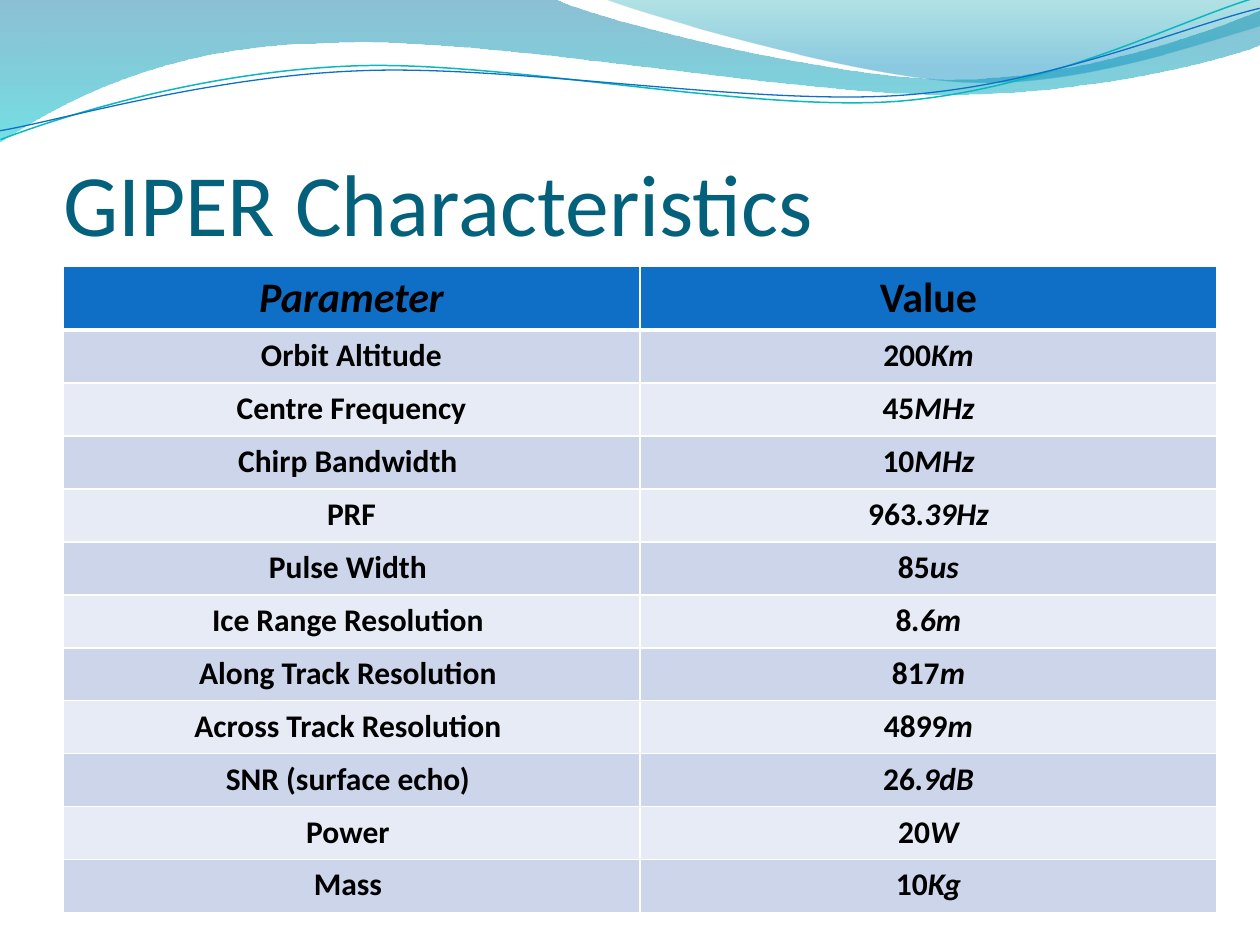
from lxml.etree import SubElement
from pptx import Presentation
from pptx.dml.color import RGBColor
from pptx.enum.text import MSO_ANCHOR, PP_ALIGN
from pptx.oxml.ns import qn
from pptx.util import Pt

EMU_PER_PX = 914400 / 126
FONT = "Calibri"
BLACK = RGBColor(0x00, 0x00, 0x00)
WHITE = RGBColor(0xFF, 0xFF, 0xFF)
TITLE_TEAL = RGBColor(0x04, 0x61, 0x7B)
HEADER_BLUE = RGBColor(0x0F, 0x6F, 0xC6)
LINE_TEAL = RGBColor(0x0A, 0xB8, 0xBF)
DEEP_BLUE = RGBColor(0x00, 0x74, 0xA1)
AQUA = RGBColor(0x00, 0xC6, 0xCF)
SEA_GREEN = RGBColor(0x00, 0xA1, 0xA9)
SKY_BLUE = RGBColor(0x00, 0x8B, 0xBF)
BANDS = [RGBColor(0xE7, 0xEB, 0xF5), RGBColor(0xCC, 0xD5, 0xEA)]

TITLE = "GIPER Characteristics"
TITLE_BOX = (63, 97, 1134, 157)
TABLE_LEFT, TABLE_TOP = 63, 266
COLUMN_WIDTH, HEADER_HEIGHT, ROW_HEIGHT = 577, 63, 53
STRAND_ROTATION = 357.3

HEADER = [("Parameter", True), ("Value", False)]
ROWS = [
    ("Orbit Altitude", "200", "Km"),
    ("Centre Frequency", "45", "MHz"),
    ("Chirp Bandwidth ", "10", "MHz"),
    ("PRF", "963", ".39Hz"),
    ("Pulse Width ", "85", "us"),
    ("Ice Range Resolution ", "8", ".6m"),
    ("Along Track Resolution ", "817", "m"),
    ("Across Track Resolution ", "4899", "m"),
    ("SNR (surface echo) ", "26", ".9dB"),
    ("Power ", "20", "W"),
    ("Mass ", "10", "Kg"),
]

WAVES = [
    ([[(0, 0)], [(554, -1)],
      [(600, 21), (837, 79), (955, 79)], [(1075, 79), (1207, 33), (1260, 11)],
      [(1261, 45)], [(1238, 55), (1096, 96), (940, 94)],
      [(784, 94), (481, 35), (324, 43)], [(161, 45), (58, 105), (-1, 142)]],
     [(0, DEEP_BLUE, 45), (1, AQUA, 55)]),
    ([[(604, -1)], [(641, 14), (859, 78), (969, 82)],
      [(1079, 87), (1211, 40), (1260, 26)], [(1260, 0)]],
     [(0, SEA_GREEN, 30), (0.8, SKY_BLUE, 45)]),
]
STRANDS = [
    ([[(-2, 110)], [(59, 90), (199, 52), (350, 53)],
      [(499, 53), (745, 118), (896, 114)], [(1049, 109), (1184, 45), (1260, 27)]],
     LINE_TEAL, 0.85),
    ([[(-2, 101)], [(57, 94), (207, 57), (357, 58)],
      [(509, 58), (750, 112), (902, 108)], [(1052, 104), (1187, 52), (1262, 38)]],
     HEADER_BLUE, 0.75),
]


def px(value):
    return round(value * EMU_PER_PX)


def add_outline(shapes, segments, close):
    segments = [[(px(x), px(y)) for x, y in segment] for segment in segments]
    ends = [segment[-1] for segment in segments]
    builder = shapes.build_freeform(*ends[0], scale=1.0)
    builder.add_line_segments(ends[1:], close=close)
    shape = builder.convert_to_shape()
    shape.shadow.inherit = False
    straight_lines = list(shape._element.iter(qn("a:lnTo")))
    for line, segment in zip(straight_lines, segments[1:]):
        if len(segment) == 3:
            line.tag = qn("a:cubicBezTo")
            for point in list(line):
                line.remove(point)
            for x, y in segment:
                SubElement(line, qn("a:pt"),
                           x=str(x - shape.left), y=str(y - shape.top))
    return shape


def add_wave(slide, segments, stops):
    wave = add_outline(slide.shapes, segments, True)
    wave.line.fill.background()
    wave.fill.gradient()
    wave.fill.gradient_angle = 270
    for stop, (position, color, _) in zip(wave.fill.gradient_stops, stops):
        stop.position = position
        stop.color.rgb = color
    colors = list(wave._element.spPr.iter(qn("a:srgbClr")))
    for element, (_, _, opacity) in zip(colors, stops):
        SubElement(element, qn("a:alpha"), val=str(opacity * 1000))


def add_strand(group, segments, color, width):
    strand = add_outline(group.shapes, segments, False)
    strand.rotation = STRAND_ROTATION
    strand.fill.background()
    strand.line.color.rgb = color
    strand.line.width = Pt(width)


def format_run(run, size, color, bold=False, italic=False):
    font = run.font
    font.name, font.size, font.bold, font.italic = FONT, Pt(size), bold, italic
    font.color.rgb = color


def add_title(slide):
    title = slide.shapes.title
    slide.shapes._spTree.append(title._element)
    title.left, title.top, title.width, title.height = map(px, TITLE_BOX)
    frame = title.text_frame
    frame.text = TITLE
    frame.vertical_anchor = MSO_ANCHOR.BOTTOM
    frame.margin_left = frame.margin_right = frame.margin_bottom = 0
    para = frame.paragraphs[0]
    para.alignment = PP_ALIGN.LEFT
    format_run(para.runs[0], 50, TITLE_TEAL)


def add_borders(cell):
    properties = cell._tc.get_or_add_tcPr()
    for side, width in zip("LRTB", (1, 1, 1, 3)):
        line = SubElement(properties, qn(f"a:ln{side}"), w=str(Pt(width)))
        solid = SubElement(line, qn("a:solidFill"))
        SubElement(solid, qn("a:srgbClr"), val=str(WHITE))


def format_cell(cell, spans, size, fill):
    cell.fill.solid()
    cell.fill.fore_color.rgb = fill
    para = cell.text_frame.paragraphs[0]
    para.alignment = PP_ALIGN.CENTER
    for text, italic in spans:
        run = para.add_run()
        run.text = text
        format_run(run, size, BLACK, bold=True, italic=italic)


def add_characteristics(slide):
    height = HEADER_HEIGHT + ROW_HEIGHT * len(ROWS)
    table = slide.shapes.add_table(
        len(ROWS) + 1, len(HEADER), px(TABLE_LEFT), px(TABLE_TOP),
        px(len(HEADER) * COLUMN_WIDTH), px(height)).table
    for column in table.columns:
        column.width = px(COLUMN_WIDTH)
    for index, row in enumerate(table.rows):
        row.height = px(ROW_HEIGHT if index else HEADER_HEIGHT)
    for column, span in enumerate(HEADER):
        cell = table.cell(0, column)
        add_borders(cell)
        format_cell(cell, [span], 24, HEADER_BLUE)
    for index, (name, upright, italic) in enumerate(ROWS, 1):
        fill = BANDS[index % 2]
        format_cell(table.cell(index, 0), [(name, False)], 18, fill)
        format_cell(table.cell(index, 1), [(upright, False), (italic, True)],
                    18, fill)


def main():
    deck = Presentation()
    deck.slide_width, deck.slide_height = px(1260), px(945)
    slide = deck.slides.add_slide(deck.slide_layouts[5])
    for wave in WAVES:
        add_wave(slide, *wave)
    strands = slide.shapes.add_group_shape()
    for strand in STRANDS:
        add_strand(strands, *strand)
    add_title(slide)
    add_characteristics(slide)
    deck.save("out.pptx")


if __name__ == "__main__":
    main()
